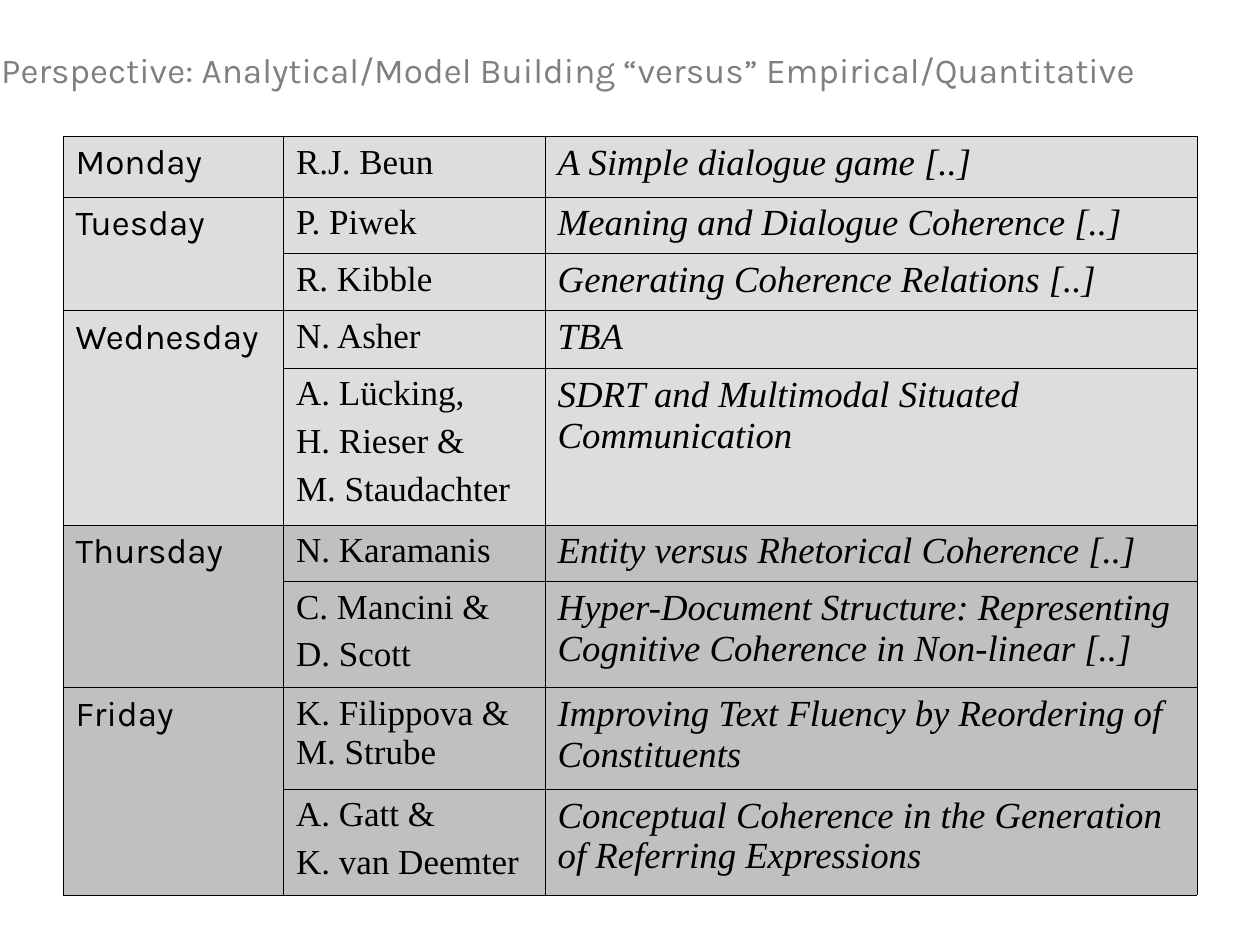
from pptx import Presentation
from pptx.dml.color import RGBColor
from pptx.enum.text import MSO_ANCHOR, PP_ALIGN
from pptx.oxml.ns import qn
from pptx.util import Pt
from lxml.etree import SubElement

BLACK = RGBColor(0x00, 0x00, 0x00)
GREY = RGBColor(0x80, 0x80, 0x80)
LIGHT = RGBColor(0xDD, 0xDD, 0xDD)
DARK = RGBColor(0xC0, 0xC0, 0xC0)

TITLE = dict(name="Karla", size=Pt(20), color=GREY)
DAY = dict(name="Karla", size=Pt(20), color=BLACK)
AUTHOR = dict(name="Times New Roman", size=Pt(20), color=BLACK)
TALK = dict(name="Times New Roman", size=Pt(21), color=BLACK, italic=True)

COLUMNS = [126, 149.5, 372.5]
PROGRAMME = [
    ("Monday", LIGHT, [
        (34.5, ["R.J. Beun"], "A Simple dialogue game [..]")]),
    ("Tuesday", LIGHT, [
        (32.5, ["P. Piwek"], "Meaning and Dialogue Coherence [..]"),
        (32.5, ["R. Kibble"], "Generating Coherence Relations [..]")]),
    ("Wednesday", LIGHT, [
        (33, ["N. Asher"], "TBA"),
        (89.5, ["A. Lücking,", "H. Rieser &", "M. Staudachter"],
         "SDRT and Multimodal Situated Communication")]),
    ("Thursday", DARK, [
        (32.5, ["N. Karamanis"], "Entity versus Rhetorical Coherence [..]"),
        (60.5, ["C. Mancini &", "D. Scott"],
         "Hyper-Document Structure: Representing Cognitive Coherence in Non-linear [..]")]),
    ("Friday", DARK, [
        (58, ["K. Filippova & M. Strube"],
         "Improving Text Fluency by Reordering of Constituents"),
        (60.5, ["A. Gatt &", "K. van Deemter"],
         "Conceptual Coherence in the Generation of Referring Expressions")]),
]


def write(tf, lines, style, space=0):
    """Fill a text frame with one styled paragraph per line."""
    for i, line in enumerate(lines):
        p = tf.paragraphs[0] if i == 0 else tf.add_paragraph()
        p.alignment = PP_ALIGN.LEFT
        p.space_before = Pt(space)
        r = p.add_run()
        r.text = line
        for key, value in style.items():
            if key == "color":
                r.font.color.rgb = value
            else:
                setattr(r.font, key, value)


def format_cell(cell, color):
    """Give a cell thin black borders and a plain fill."""
    tc_pr = cell._tc.get_or_add_tcPr()
    for side in ("a:lnL", "a:lnR", "a:lnT", "a:lnB"):
        ln = SubElement(tc_pr, qn(side), w=str(Pt(0.45)))
        fill = SubElement(ln, qn("a:solidFill"))
        SubElement(fill, qn("a:srgbClr"), val=str(BLACK))
    cell.fill.solid()
    cell.fill.fore_color.rgb = color


def add_title(s, text):
    """Place and format the title placeholder."""
    sp = s.shapes.title
    sp.left, sp.top, sp.width, sp.height = Pt(-6.5), Pt(24), Pt(670), Pt(31.5)
    tf = sp.text_frame
    tf.word_wrap = False
    tf.vertical_anchor = MSO_ANCHOR.TOP
    write(tf, [text], TITLE)


def add_programme(s):
    """Draw the programme table with one merged day cell per day."""
    heights = [talk[0] for _, _, talks in PROGRAMME for talk in talks]
    frame = s.shapes.add_table(len(heights), len(COLUMNS), Pt(36), Pt(78),
                               Pt(sum(COLUMNS)), Pt(sum(heights)))
    table = frame.table
    table.first_row = table.horz_banding = False
    for column, width in zip(table.columns, COLUMNS):
        column.width = Pt(width)
    row = 0
    for day, color, talks in PROGRAMME:
        first = table.cell(row, 0)
        write(first.text_frame, [day], DAY)
        if len(talks) > 1:
            first.merge(table.cell(row + len(talks) - 1, 0))
        for height, authors, talk in talks:
            table.rows[row].height = Pt(height)
            for cell in table.rows[row].cells:
                format_cell(cell, color)
            write(table.cell(row, 1).text_frame, authors, AUTHOR, 5)
            write(table.cell(row, 2).text_frame, [talk], TALK, 5.2)
            row += 1


def main():
    """Build the workshop programme slide."""
    prs = Presentation()
    prs.slide_width, prs.slide_height = Pt(720), Pt(540)
    s = prs.slides.add_slide(prs.slide_layouts[5])
    add_programme(s)
    add_title(s, "Perspective: Analytical/Model Building “versus” Empirical/Quantitative")
    prs.save("out.pptx")


if __name__ == "__main__":
    main()
